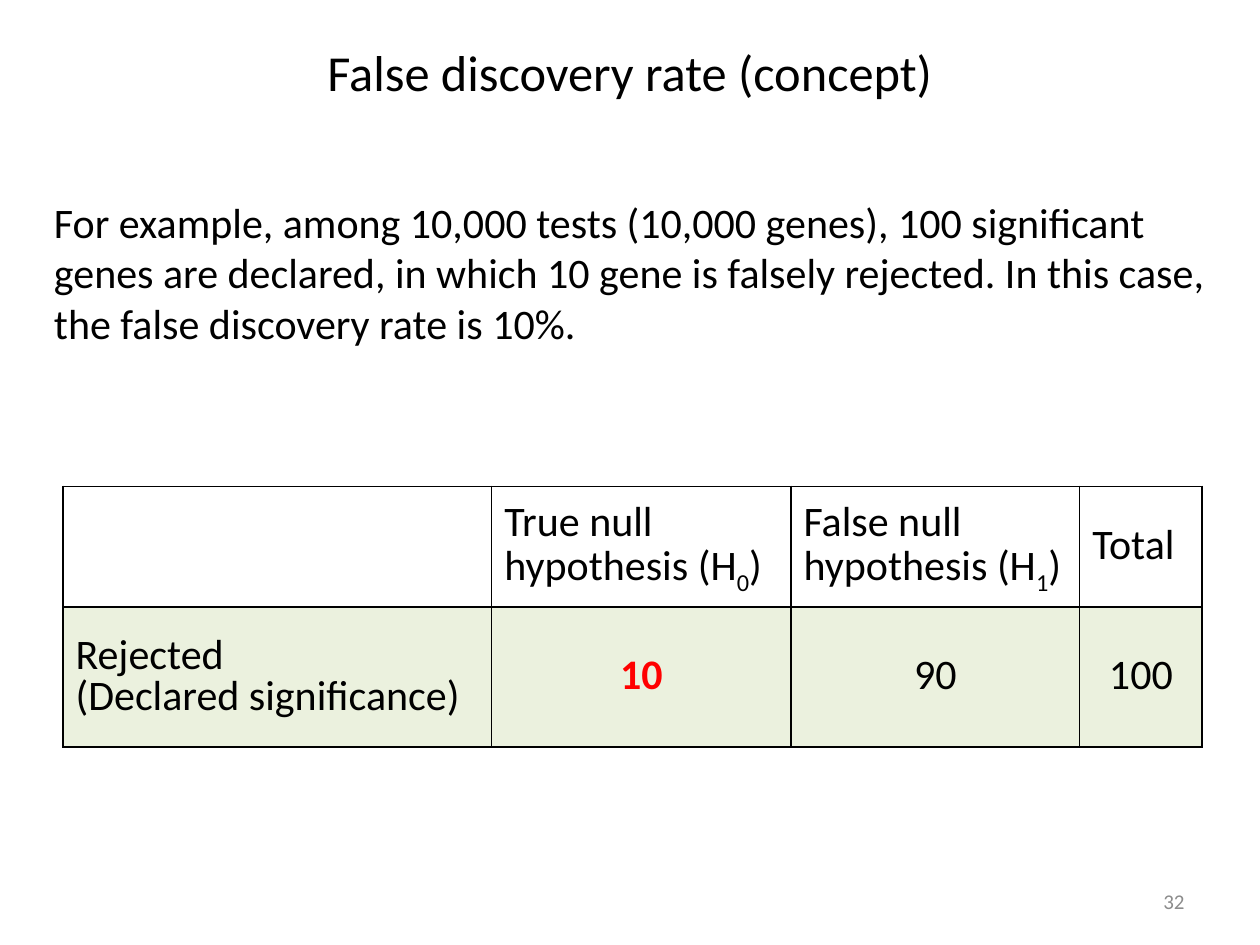
from dataclasses import dataclass

from lxml.etree import SubElement
from pptx import Presentation
from pptx.dml.color import RGBColor
from pptx.enum.text import MSO_ANCHOR, PP_ALIGN
from pptx.oxml.ns import qn
from pptx.table import _Cell
from pptx.text.text import TextFrame
from pptx.util import Pt

BLACK = RGBColor(0x00, 0x00, 0x00)
RED = RGBColor(0xFF, 0x00, 0x00)
GRAY = RGBColor(0x8C, 0x8C, 0x8C)
PALE_GREEN = RGBColor(0xEB, 0xF1, 0xDE)
FONT = "Calibri"


@dataclass
class CellSpec:
    text: str = ""
    align: PP_ALIGN = PP_ALIGN.LEFT
    color: RGBColor = BLACK
    bold: bool = False
    fill: RGBColor | None = None


def write(tf: TextFrame, text: str, *, size: float = 24, color: RGBColor = BLACK,
          bold: bool = False, align: PP_ALIGN = PP_ALIGN.LEFT,
          spacing: float | None = None) -> None:
    """Fill a frame: newlines split paragraphs, and text between _ marks is subscript."""
    for i, line in enumerate(text.split("\n")):
        p = tf.paragraphs[0] if i == 0 else tf.add_paragraph()
        p.alignment = align
        if spacing:
            p.line_spacing = spacing
        for j, part in enumerate(line.split("_")):
            r = p.add_run()
            r.text = part
            r.font.name = FONT
            r.font.size = Pt(size)
            r.font.bold = bold
            r.font.color.rgb = color
            if j % 2:
                r.font._element.set("baseline", "-25000")


def add_text(s, box: tuple, text: str, *, anchor: MSO_ANCHOR = MSO_ANCHOR.TOP,
             **text_format) -> None:
    tf = s.shapes.add_textbox(*map(Pt, box)).text_frame
    tf.word_wrap = True
    tf.vertical_anchor = anchor
    write(tf, text, **text_format)


def draw_borders(cell: _Cell) -> None:
    tc_pr = cell._tc.get_or_add_tcPr()
    for i, side in enumerate(("a:lnL", "a:lnR", "a:lnT", "a:lnB")):
        ln = tc_pr.makeelement(qn(side), {"w": str(Pt(1))})
        tc_pr.insert(i, ln)
        fill = SubElement(ln, qn("a:solidFill"))
        SubElement(fill, qn("a:srgbClr"), val=str(BLACK))


def fill_cell(cell: _Cell, spec: CellSpec) -> None:
    cell.vertical_anchor = MSO_ANCHOR.MIDDLE
    if spec.fill is None:
        cell.fill.background()
    else:
        cell.fill.solid()
        cell.fill.fore_color.rgb = spec.fill
    draw_borders(cell)
    if spec.text:
        write(cell.text_frame, spec.text, color=spec.color, bold=spec.bold,
              align=spec.align, spacing=0.8)


def add_grid(s, left: float, top: float, widths: list[float], heights: list[float],
             rows: list[list[CellSpec]]) -> None:
    table = s.shapes.add_table(len(heights), len(widths), Pt(left), Pt(top),
                               Pt(sum(widths)), Pt(sum(heights))).table
    table.first_row = table.horz_banding = False
    for column, width in zip(table.columns, widths):
        column.width = Pt(width)
    for row, height, specs in zip(table.rows, heights, rows):
        row.height = Pt(height)
        for cell, spec in zip(row.cells, specs):
            fill_cell(cell, spec)


def count(text: str, color: RGBColor = BLACK, bold: bool = False) -> CellSpec:
    return CellSpec(text, PP_ALIGN.CENTER, color, bold, PALE_GREEN)


def main() -> None:
    prs = Presentation()
    prs.slide_width, prs.slide_height = Pt(720), Pt(540)
    s = prs.slides.add_slide(prs.slide_layouts[5])

    title = s.shapes.title
    title.left, title.top, title.width, title.height = map(Pt, (36, 23, 648, 36))
    title.text_frame.vertical_anchor = MSO_ANCHOR.MIDDLE
    write(title.text_frame, "False discovery rate (concept)", size=28.8,
          align=PP_ALIGN.CENTER)

    add_text(s, (23.76, 108.72, 685.44, 94.32),
             "For example, among 10,000 tests (10,000 genes), 100 significant genes are "
             "declared, in which 10 gene is falsely rejected. In this case, the false "
             "discovery rate is 10%.")

    header = [CellSpec(), CellSpec("True null hypothesis (H_0_)"),
              CellSpec("False null hypothesis (H_1_)"), CellSpec("Total")]
    rejected = [CellSpec("Rejected\n(Declared significance)", fill=PALE_GREEN),
                count("10", RED, bold=True), count("90"), count("100")]
    add_grid(s, 36, 278, [245, 171, 165, 70], [69, 80], [header, rejected])

    add_text(s, (516, 500.5, 168, 28.75), "32", size=12, color=GRAY,
             align=PP_ALIGN.RIGHT, anchor=MSO_ANCHOR.MIDDLE)
    prs.save("out.pptx")


if __name__ == "__main__":
    main()
